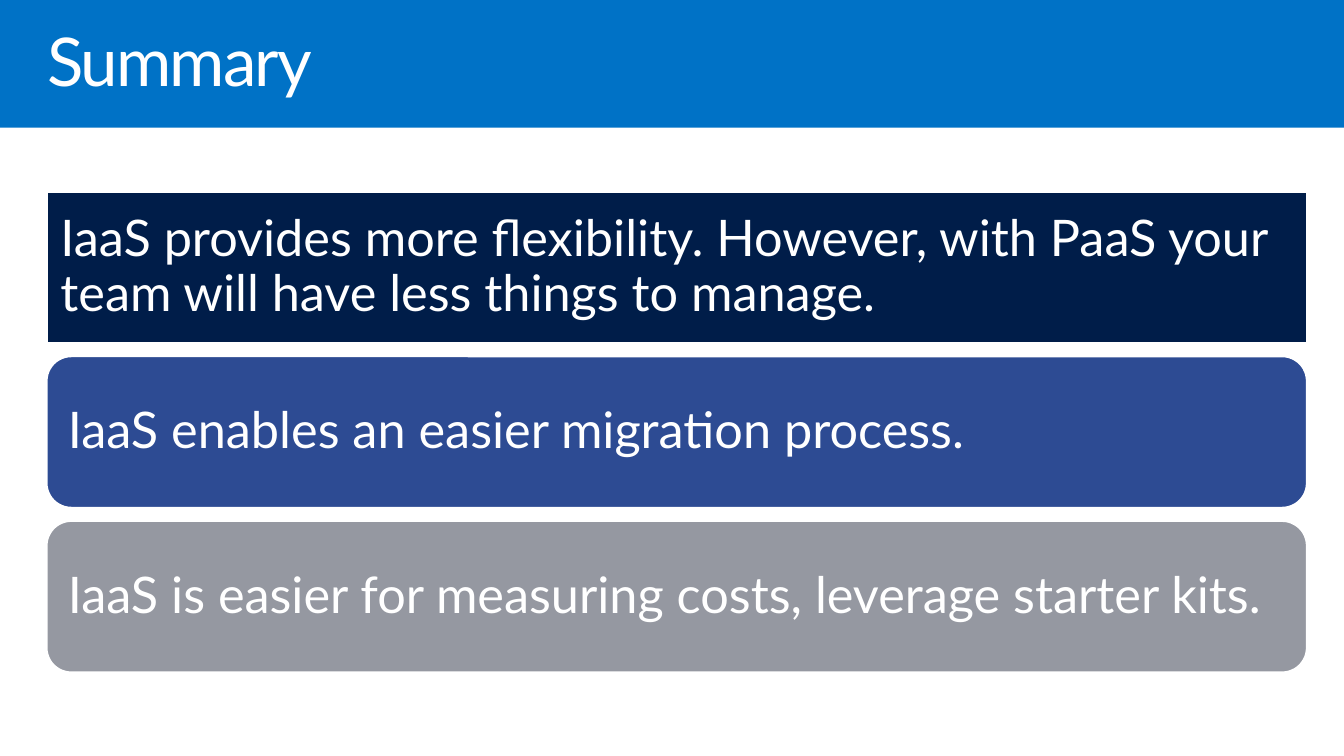
from pptx import Presentation
from pptx.dml.color import RGBColor
from pptx.enum.shapes import MSO_SHAPE as Shape
from pptx.enum.text import MSO_ANCHOR as Anchor, PP_ALIGN as Align
from pptx.util import Inches, Pt


def color(hex_string):
    return RGBColor.from_string(hex_string)


def format_text(frame, text, size, inset):
    """Fill a text frame with one left-aligned white paragraph."""
    frame.word_wrap = True
    frame.vertical_anchor = Anchor.MIDDLE
    frame.margin_left = frame.margin_right = Inches(inset)
    frame.margin_top = frame.margin_bottom = Inches(inset)
    paragraph = frame.paragraphs[0]
    paragraph.add_run().text = text
    paragraph.alignment = Align.LEFT
    paragraph.line_spacing = 0.9
    paragraph.font.name = "Lato"
    paragraph.font.size = Pt(size)
    paragraph.font.color.rgb = color("FFFFFF")
    return paragraph


# Widescreen slide, 16:9
presentation = Presentation()
presentation.slide_width = Inches(10)
presentation.slide_height = Inches(10 * 9 / 16)
slide = presentation.slides.add_slide(presentation.slide_layouts[5])

# Title on a blue band
title = slide.shapes.title
title.left, title.top = Inches(0.35), Inches(0.21)
title.width, title.height = Inches(9.15), Inches(0.55)
heading = format_text(title.text_frame, "Summary", 36, 0)
heading.runs[0].font._element.set("spc", "-100")

band = slide.shapes.add_shape(Shape.RECTANGLE, 0, 0, Inches(10), Inches(0.95))
band.shadow.inherit = False
band.fill.solid()
band.fill.fore_color.rgb = color("0072C6")
band.line.fill.background()
title.element.addprevious(band.element)

# Stacked summary points, evenly spaced
points = [
    (Shape.RECTANGLE, "001D49",
     "IaaS provides more flexibility. However, with PaaS your team will have less things to manage."),
    (Shape.ROUNDED_RECTANGLE, "2D4B93", "IaaS enables an easier migration process."),
    (Shape.ROUNDED_RECTANGLE, "9598A1", "IaaS is easier for measuring costs, leverage starter kits."),
]
first_top, last_top = 1.42, 3.87
pitch = (last_top - first_top) / (len(points) - 1)
for index, (outline, fill, text) in enumerate(points):
    box = slide.shapes.add_shape(
        outline, Inches(0.34), Inches(first_top + index * pitch), Inches(9.39), Inches(1.14))
    box.shadow.inherit = False
    box.fill.solid()
    box.fill.fore_color.rgb = color(fill)
    box.line.color.rgb = color("FFFFFF")
    box.line.width = Pt(2)
    format_text(box.text_frame, text, 27, 0.11)

presentation.save("out.pptx")
